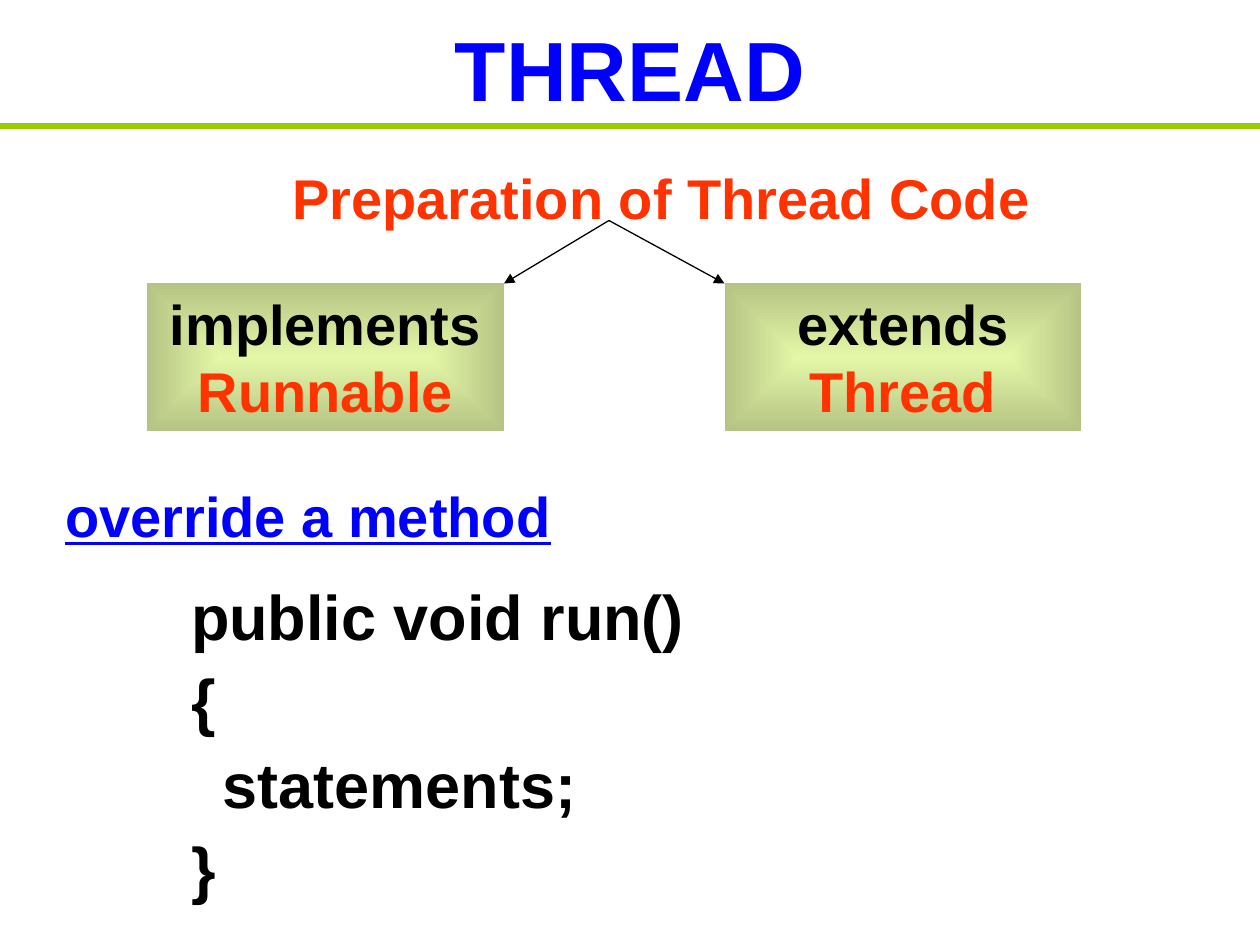
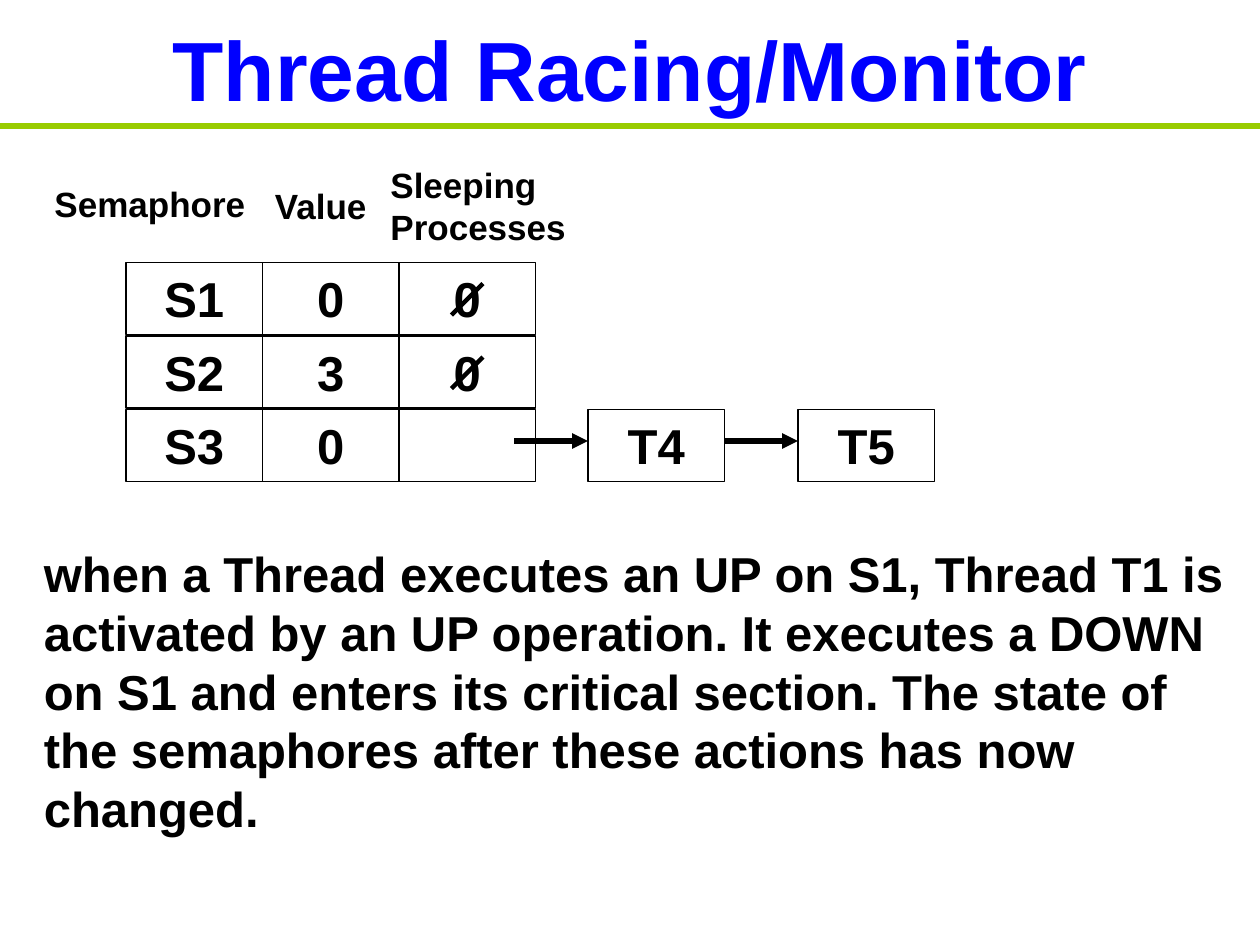
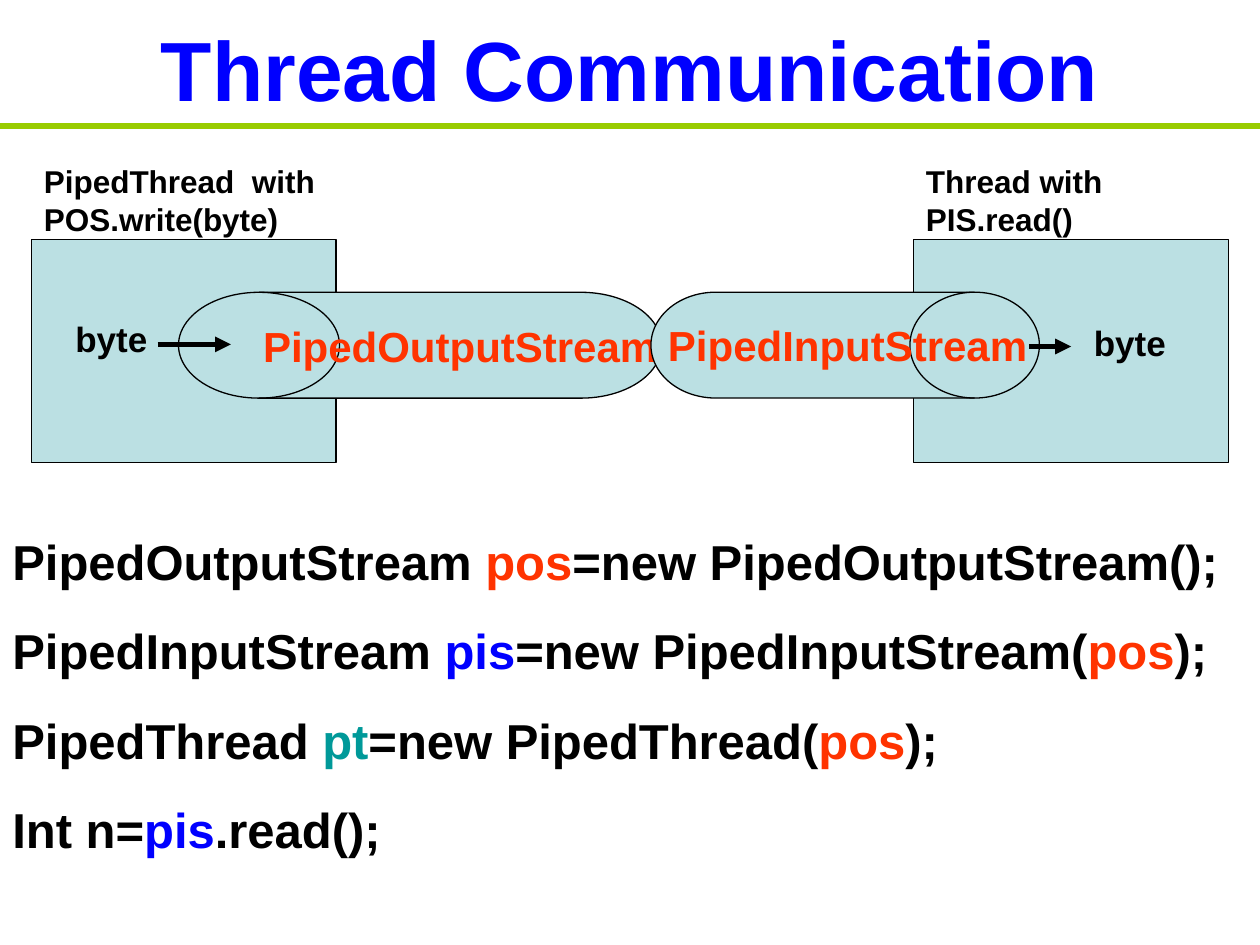
from dataclasses import dataclass
from typing import Optional

import pptx
import pptx.dml.color
import pptx.enum.shapes
import pptx.enum.text
import pptx.oxml.ns
import pptx.presentation
import pptx.shapes.autoshape
import pptx.slide
import pptx.text.text
import pptx.util
from lxml import etree

Pt = pptx.util.Pt
RGBColor = pptx.dml.color.RGBColor
Shape = pptx.enum.shapes.MSO_SHAPE
Align = pptx.enum.text.PP_ALIGN
Anchor = pptx.enum.text.MSO_ANCHOR
qn = pptx.oxml.ns.qn

# Shared look
FONT = "Arial"
BLACK = RGBColor(0x00, 0x00, 0x00)
BLUE = RGBColor(0x00, 0x00, 0xFF)
RED = RGBColor(0xFF, 0x33, 0x00)
TEAL = RGBColor(0x00, 0x99, 0x99)
GREEN = RGBColor(0x99, 0xCC, 0x00)
PALE_BLUE = RGBColor(0xBB, 0xE0, 0xE3)
GLOW_CENTRE = RGBColor(0xE4, 0xF7, 0xA7)
GLOW_EDGE = RGBColor(0xB5, 0xC4, 0x84)
THIN, THICK = 0.74, 3
TITLE_ONLY, TITLE_AND_BODY = 5, 1


@dataclass(frozen=True)
class Box:
    left: float
    top: float
    width: float
    height: float

    def lengths(self) -> tuple:
        return Pt(self.left), Pt(self.top), Pt(self.width), Pt(self.height)


@dataclass(frozen=True)
class Words:
    text: str
    color: RGBColor = BLACK


@dataclass(frozen=True)
class Label:
    text: str
    box: Box
    size: float
    color: RGBColor = BLACK
    align: Align = Align.LEFT


@dataclass(frozen=True)
class Line:
    x1: float
    y1: float
    x2: float
    y2: float
    width: float
    color: RGBColor = BLACK
    arrow: bool = False


@dataclass(frozen=True)
class CodeLine:
    text: str
    size: float = 36
    color: RGBColor = BLACK
    indent: float = 72
    before: float = 9
    underline: bool = False


def add_run(paragraph: pptx.text.text._Paragraph, words: Words, size: float) -> pptx.text.text._Run:
    run = paragraph.add_run()
    run.text = words.text
    run.font.name = FONT
    run.font.size = Pt(size)
    run.font.bold = True
    run.font.color.rgb = words.color
    return run


def place(shape: pptx.shapes.autoshape.Shape, box: Box) -> None:
    shape.left, shape.top, shape.width, shape.height = box.lengths()
    shape.text_frame.auto_size = pptx.enum.text.MSO_AUTO_SIZE.NONE


def add_line(slide: pptx.slide.Slide, line: Line) -> None:
    connector = slide.shapes.add_connector(
        pptx.enum.shapes.MSO_CONNECTOR.STRAIGHT,
        Pt(line.x1), Pt(line.y1), Pt(line.x2), Pt(line.y2))
    connector.line.color.rgb = line.color
    connector.line.width = Pt(line.width)
    properties = connector._element.spPr
    if line.arrow:
        etree.SubElement(properties.find(qn("a:ln")), qn("a:tailEnd"), type="triangle")
    etree.SubElement(properties, qn("a:effectLst"))


def add_label(slide: pptx.slide.Slide, label: Label) -> None:
    frame = slide.shapes.add_textbox(*label.box.lengths()).text_frame
    frame.word_wrap = True
    frame.paragraphs[0].alignment = label.align
    add_run(frame.paragraphs[0], Words(label.text, label.color), label.size)


def add_panel(slide: pptx.slide.Slide, kind: Shape, box: Box, words: tuple = (), size: float = 28,
              fill: Optional[RGBColor] = None, outlined: bool = True,
              anchor: Anchor = Anchor.TOP) -> pptx.shapes.autoshape.Shape:
    panel = slide.shapes.add_shape(kind, *box.lengths())
    panel.shadow.inherit = False
    if fill is None:
        panel.fill.background()
    else:
        panel.fill.solid()
        panel.fill.fore_color.rgb = fill
    if outlined:
        panel.line.color.rgb = BLACK
        panel.line.width = Pt(THIN)
    else:
        panel.line.fill.background()
    panel.text_frame.word_wrap = True
    panel.text_frame.vertical_anchor = anchor
    paragraph = panel.text_frame.paragraphs[0]
    paragraph.alignment = Align.CENTER
    for part in words:
        add_run(paragraph, part, size)
    return panel


def glow(panel: pptx.shapes.autoshape.Shape) -> None:
    """Fill from a light centre to darker edges."""
    panel.fill.gradient()
    for stop, color in zip(panel.fill.gradient_stops, (GLOW_CENTRE, GLOW_EDGE)):
        stop.color.rgb = color
    gradient = panel._element.spPr.find(qn("a:gradFill"))
    gradient.remove(gradient.find(qn("a:lin")))
    spread = etree.SubElement(gradient, qn("a:path"), {"path": "rect"})
    etree.SubElement(spread, qn("a:fillToRect"), dict.fromkeys("ltrb", "50000"))


def add_code(body: pptx.shapes.autoshape.Shape, lines: tuple) -> None:
    frame = body.text_frame
    for index, line in enumerate(lines):
        paragraph = frame.add_paragraph() if index else frame.paragraphs[0]
        paragraph.line_spacing = 0.9
        paragraph.space_before = Pt(line.before)
        properties = paragraph._p.get_or_add_pPr()
        properties.set("marL", str(Pt(line.indent)))
        properties.set("indent", "0")
        etree.SubElement(properties, qn("a:buNone"))
        run = add_run(paragraph, Words(line.text, line.color), line.size)
        run.font.underline = line.underline


def start_slide(deck: pptx.presentation.Presentation, title: str,
                layout: int = TITLE_ONLY) -> pptx.slide.Slide:
    slide = deck.slides.add_slide(deck.slide_layouts[layout])
    heading = slide.shapes.title
    place(heading, Box(36, 0, 648, 78))
    heading.text_frame.vertical_anchor = Anchor.MIDDLE
    heading.text_frame.paragraphs[0].alignment = Align.CENTER
    add_run(heading.text_frame.paragraphs[0], Words(title, BLUE), 48)
    add_line(slide, Line(0, 72, 720, 72, THICK, GREEN))
    return slide


def build_thread(deck: pptx.presentation.Presentation) -> None:
    slide = start_slide(deck, "THREAD", TITLE_AND_BODY)

    # Method to override
    body = slide.placeholders[1]
    place(body, Box(30, 276, 648, 264))
    add_code(body, (
        CodeLine("override a method", 32, BLUE, indent=0, before=8, underline=True),
        CodeLine("public void run()", before=20.9),
        CodeLine("{"),
        CodeLine("statements;", indent=90),
        CodeLine("}"),
    ))

    # Two ways to prepare the code
    add_label(slide, Label("Preparation of Thread Code", Box(156, 90, 444, 46), 32, RED, Align.CENTER))
    for left, keyword, parent in ((84, "implements ", "Runnable"), (414, "extends ", "Thread")):
        way = add_panel(slide, Shape.RECTANGLE, Box(left, 162, 204, 84.3),
                        (Words(keyword), Words(parent, RED)), 32, outlined=False)
        glow(way)
    for tip in (288, 414):
        add_line(slide, Line(348, 126, tip, 162, THIN, arrow=True))


def build_monitor(deck: pptx.presentation.Presentation) -> None:
    slide = start_slide(deck, "Thread Racing/Monitor")
    left, top, column, row, height = 72, 150, 78, 42, 41.25

    # Semaphore grid
    semaphores = (("S1", "0", "0"), ("S2", "3", "0"), ("S3", "0", ""))
    for i, values in enumerate(semaphores):
        for j, value in enumerate(values):
            add_panel(slide, Shape.RECTANGLE,
                      Box(left + j * column, top + i * row, column, height),
                      (Words(value),) if value else ())

    # Column headings
    for text, box in (("Semaphore", Box(24, 101, 126, 32)),
                      ("Value", Box(150, 102, 72, 32)),
                      ("Sleeping Processes", Box(216, 90, 126, 55))):
        add_label(slide, Label(text, box, 20))

    # Strokes through the empty queues
    for y in (top + 12, top + 12 + row):
        add_line(slide, Line(276, y, 258, y + 18, 2.5))

    # Queue of sleeping threads
    for thread, x, start in (("T4", 336, 294), ("T5", 456, 414)):
        add_panel(slide, Shape.RECTANGLE, Box(x, top + 2 * row, column, height), (Words(thread),))
        add_line(slide, Line(start, 252, x, 252, THICK, arrow=True))

    add_label(slide, Label(
        "when a Thread executes an UP on S1, Thread T1 is activated by an UP operation. "
        "It executes a DOWN on S1 and enters its critical section. "
        "The state of the semaphores after these actions has now changed.",
        Box(18, 307, 696, 176), 28))


def build_communication(deck: pptx.presentation.Presentation) -> None:
    slide = start_slide(deck, "Thread Communication")

    # Threads
    for left, width in ((18, 174), (522, 180)):
        add_panel(slide, Shape.RECTANGLE, Box(left, 137, width, 127.5), fill=PALE_BLUE)

    # Pipe ends
    output, source = (
        add_panel(slide, Shape.FLOWCHART_DIRECT_ACCESS_STORAGE, Box(left, 167, width, 60.5),
                  (Words(stream, RED),), 24, PALE_BLUE, anchor=Anchor.MIDDLE)
        for left, width, stream in ((102, 276, "PipedOutputStream"), (372, 222, "PipedInputStream")))
    for drum in (output, source):
        drum.text_frame.word_wrap = False
    output.rotation = 180
    output.text_frame._txBody.bodyPr.set("rot", "10800000")
    source.text_frame.margin_left = Pt(47)

    # Labels and the bytes going in and out
    for label in (Label("byte", Box(36, 178, 78, 32), 20),
                  Label("byte", Box(618, 180, 78, 32), 20),
                  Label("PipedThread  with POS.write(byte)", Box(18, 89, 204, 50), 18),
                  Label("Thread with PIS.read()", Box(522, 89, 204, 50), 18)):
        add_label(slide, label)
    for x1, x2, y in ((90, 132, 196.8), (588, 612, 198)):
        add_line(slide, Line(x1, y, x2, y, THICK, arrow=True))

    # Code
    pos, pis, pt = Words("pos", RED), Words("pis", BLUE), Words("pt", TEAL)
    end = Words(");")
    code = (
        (Words("PipedOutputStream "), pos, Words("=new PipedOutputStream();")),
        (Words("PipedInputStream "), pis, Words("=new PipedInputStream("), pos, end),
        (Words("PipedThread "), pt, Words("=new PipedThread("), pos, end),
        (Words("Int n="), pis, Words(".read();")),
    )
    frame = slide.shapes.add_textbox(*Box(0, 300, 720, 194).lengths()).text_frame
    frame.word_wrap = True
    for index, statement in enumerate(code):
        paragraph = frame.add_paragraph() if index else frame.paragraphs[0]
        paragraph.space_before = Pt(17.5)
        for words in statement:
            add_run(paragraph, words, 28)


def main() -> None:
    deck = pptx.Presentation()
    deck.slide_width, deck.slide_height = Pt(720), Pt(540)
    build_thread(deck)
    build_monitor(deck)
    build_communication(deck)
    deck.save("out.pptx")


main()
